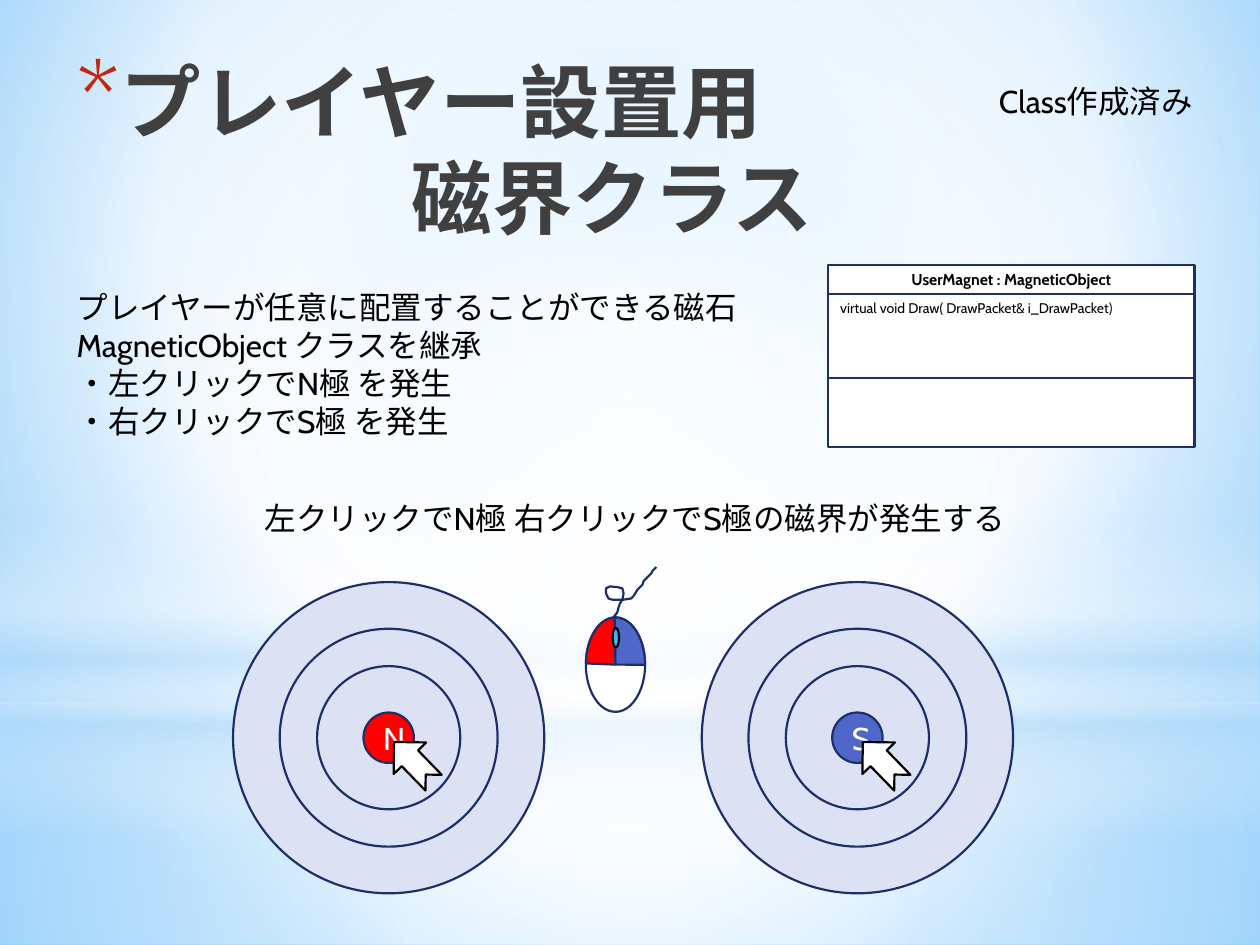
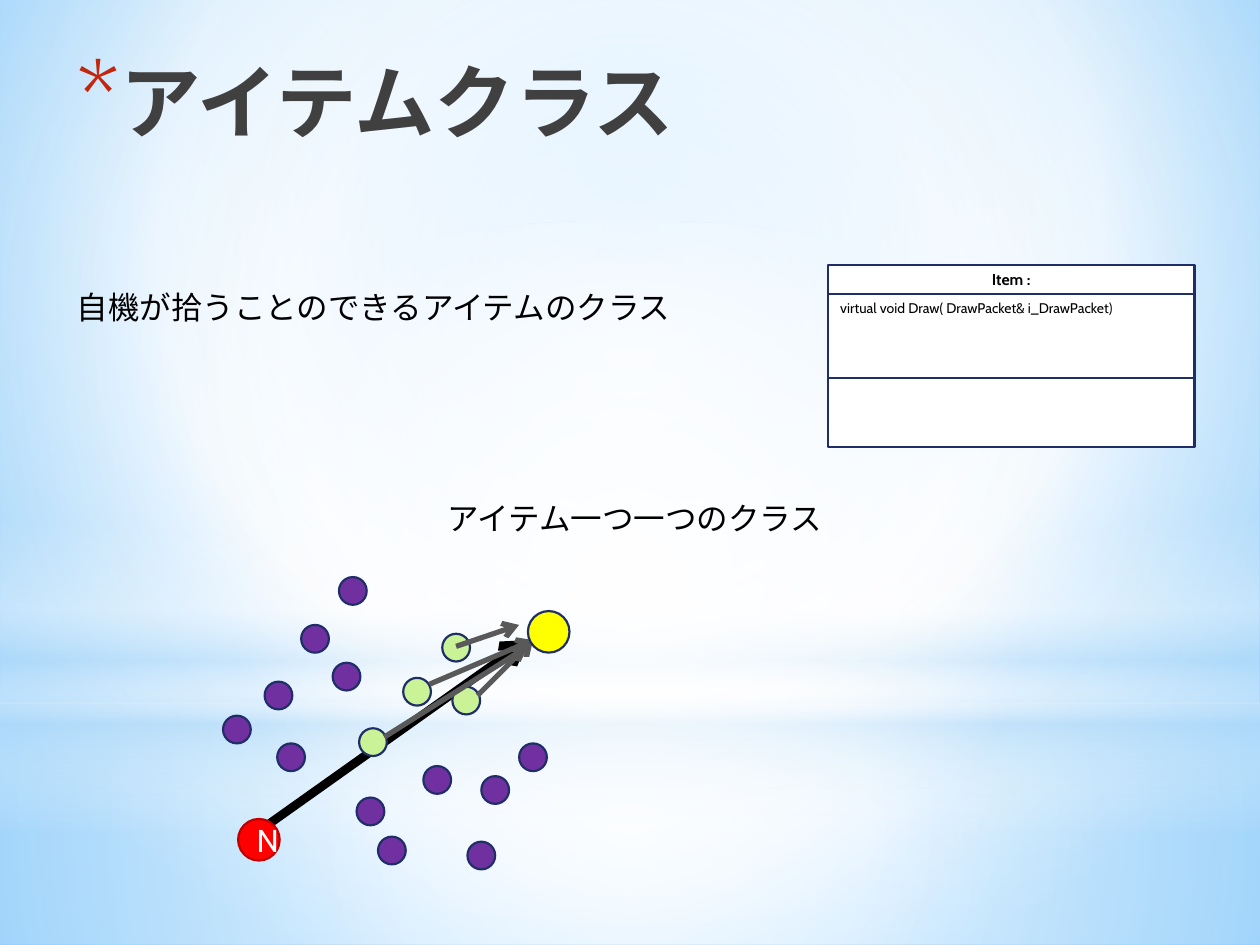
from dataclasses import dataclass

from lxml import etree
from pptx import Presentation
from pptx.dml.color import RGBColor
from pptx.enum.shapes import MSO_CONNECTOR, MSO_SHAPE
from pptx.enum.text import MSO_ANCHOR, MSO_AUTO_SIZE, PP_ALIGN
from pptx.oxml import parse_xml
from pptx.oxml.ns import nsdecls, qn
from pptx.util import Inches, Pt

RECT, OVAL, PIE = MSO_SHAPE.RECTANGLE, MSO_SHAPE.OVAL, MSO_SHAPE.PIE
CURSOR = MSO_SHAPE.NOTCHED_RIGHT_ARROW
STRAIGHT = MSO_CONNECTOR.STRAIGHT
LEFT, CENTER = PP_ALIGN.LEFT, PP_ALIGN.CENTER
TOP, MIDDLE = MSO_ANCHOR.TOP, MSO_ANCHOR.MIDDLE

FONT = "Cabin"
COLORS = {
    "title": "404040", "star": "C3260C", "text": "000000", "white": "FFFFFF",
    "outline": "1F2E69", "field": "DCE1F4", "north": "FF0000",
    "south": "4E67C8", "wheel": "4FADF3", "north edge": "C00000",
    "item": "7030A0", "pulled item": "CAF297", "player": "FFFF00",
    "pull": "595959", "sky": "B4DCFA", "sky light": "9ED5FF",
    "sky deep": "5BB9FF",
}

# The slide is a grid of 100 columns by 75 rows of square cells
SLIDE_W, SLIDE_H = Inches(10), Inches(7.5)
CELL = SLIDE_W / 100


def cells(count):
    return round(count * CELL)


@dataclass
class Box:
    x: float
    y: float
    w: float
    h: float

    def inner(self, x, y, w, h):
        """Box whose place and size are shares of this one."""
        return Box(self.x + x * self.w, self.y + y * self.h, w * self.w, h * self.h)

    def centered(self, w, h, dx=0, dy=0):
        """Box of w by h cells, shifted from the middle of this one."""
        return Box(self.x + (self.w - w) / 2 + dx, self.y + (self.h - h) / 2 + dy, w, h)

    def emu(self):
        return [cells(v) for v in (self.x, self.y, self.w, self.h)]


TITLE = Box(5.1, 3.6, 71.2, 12.5)
DESCRIPTION = Box(5.1, 22.4, 57.5, 13.1)
CLASS_BOX = Box(65.7, 21, 29.1, 14.5)
CAPTION = Box(17.7, 39.1, 65.4, 4)
STATUS = Box(78.3, 6, 19.7, 4)
NORTH_FIELD = Box(18.5, 46.2, 24.7, 24.7)
SOUTH_FIELD = Box(55.7, 46.2, 24.7, 24.7)
MOUSE = Box(46.5, 49, 4.7, 7.5)
ITEM_FIELD = Box(17.7, 45.8, 27.5, 23.2)


def rgb(name):
    return RGBColor.from_string(COLORS[name])


def style(paragraph, size, color="text", align=LEFT, bold=False):
    paragraph.alignment = align
    font = paragraph.font
    font.name, font.size, font.bold = FONT, Pt(size), bold
    font.color.rgb = rgb(color)


def add_figure(shapes, kind, box, fill, outline="outline"):
    figure = shapes.add_shape(kind, *box.emu())
    figure.shadow.inherit = False
    figure.fill.solid()
    figure.fill.fore_color.rgb = rgb(fill)
    if outline:
        figure.line.color.rgb = rgb(outline)
        figure.line.width = Pt(1.25)
    else:
        figure.line.fill.background()
    return figure


def label(figure, text, size, color="text", align=CENTER, anchor=MIDDLE, bold=False):
    figure.text_frame.text = text
    figure.text_frame.vertical_anchor = anchor
    style(figure.text_frame.paragraphs[0], size, color, align, bold)


def add_text(slide, box, lines, align=LEFT):
    frame = slide.shapes.add_textbox(*box.emu()).text_frame
    frame.word_wrap = True
    frame.text = "\n".join(lines)
    for paragraph in frame.paragraphs:
        style(paragraph, 18, align=align)


def set_gradient(properties, stops, focus=None):
    """Swap a solid fill for a gradient; focus is left, top, right, bottom in %."""
    stop_xml = "".join(
        f'<a:gs pos="{pos * 1000}"><a:srgbClr val="{COLORS[color]}">'
        f'<a:alpha val="{opacity * 1000}"/></a:srgbClr></a:gs>'
        for pos, color, opacity in stops)
    if focus:
        left, top, right, bottom = (f"{v * 1000}" for v in focus)
        direction = (f'<a:path path="circle"><a:fillToRect l="{left}" t="{top}" '
                     f'r="{right}" b="{bottom}"/></a:path>')
    else:
        direction = '<a:lin ang="5400000" scaled="0"/>'
    gradient = parse_xml(f'<a:gradFill {nsdecls("a")} rotWithShape="1">'
                         f'<a:gsLst>{stop_xml}</a:gsLst>{direction}</a:gradFill>')
    properties.replace(properties.find(qn("a:solidFill")), gradient)


def paint_master(master, slide):
    """Sky background and its light bands, kept on the master."""
    sky = master.background.fill
    sky.solid()
    sky.fore_color.rgb = rgb("white")
    set_gradient(master.element.xpath(".//p:bgPr")[0],
                 [(0, "sky light", 100), (60, "white", 100), (100, "sky deep", 100)],
                 (20, 10, 20, 60))
    middle = (50, 50, 50, 50)
    bands = [
        (RECT, Box(0, 55.8, 100, 19.2), middle,
         [(0, "white", 91), (37, "white", 76), (100, "sky", 79)]),
        (RECT, Box(0, 0, 100, 55.8), middle,
         [(0, "white", 89), (48, "white", 62), (100, "sky", 79)]),
        (RECT, Box(0, 41.2, 100, 25), None,
         [(0, "white", 0), (29, "white", 30), (45, "sky", 40),
          (55, "white", 26), (65, "sky", 60), (100, "white", 0)]),
        (OVAL, Box(0, 17.5, 100, 55.8), middle,
         [(0, "white", 100), (56, "white", 0)]),
    ]
    for order, (kind, box, focus, stops) in enumerate(bands):
        band = add_figure(slide.shapes, kind, box, "white", None)
        set_gradient(band.element.spPr, stops, focus)
        master.shapes.element.insert(2 + order, band.element)


def set_title(slide, lines):
    title = slide.shapes.title
    title.left, title.top, title.width, title.height = TITLE.emu()
    frame = title.text_frame
    frame.word_wrap, frame.auto_size = True, MSO_AUTO_SIZE.NONE
    frame.vertical_anchor = TOP
    frame.text = "\n".join(lines)
    for number, paragraph in enumerate(frame.paragraphs):
        properties = paragraph._p.get_or_add_pPr()
        if number == 0:  # starred first line with a hanging indent
            properties.set("marL", str(cells(3.5)))
            properties.set("indent", str(cells(-3.5)))
            color = etree.SubElement(properties, qn("a:buClr"))
            etree.SubElement(color, qn("a:srgbClr"), val=COLORS["star"])
            etree.SubElement(properties, qn("a:buSzPct"), val="128000")
            etree.SubElement(properties, qn("a:buFont"), typeface=FONT)
            etree.SubElement(properties, qn("a:buChar"), char="*")
        else:
            properties.set("marL", str(cells(26.6)))
            properties.set("indent", "0")
            etree.SubElement(properties, qn("a:buNone"))
        style(paragraph, 46, "title", bold=True)


def add_class_box(slide, box, heading):
    shapes = slide.shapes.add_group_shape().shapes
    name_share, method_share = 0.16, 0.46
    name = add_figure(shapes, RECT, box.inner(0, 0, 1, name_share), "white")
    label(name, heading, 9, bold=True)
    methods = add_figure(shapes, RECT, box.inner(0, name_share, 1, method_share), "white")
    label(methods, "virtual void Draw( DrawPacket& i_DrawPacket)", 8,
          align=LEFT, anchor=TOP)
    used = name_share + method_share
    add_figure(shapes, RECT, box.inner(0, used, 1, 1 - used), "white")


def add_class_slide(prs, title, description, heading, caption):
    """Frame shared by every class slide."""
    slide = prs.slides.add_slide(prs.slide_layouts[5])
    set_title(slide, title)
    add_text(slide, DESCRIPTION, description)
    add_class_box(slide, CLASS_BOX, heading)
    add_text(slide, CAPTION, [caption], CENTER)
    return slide


def add_magnetic_field(slide, box, pole, color):
    shapes = slide.shapes.add_group_shape().shapes
    for share in (1, 0.7, 0.46):
        add_figure(shapes, OVAL, box.centered(box.w * share, box.h * share), "field")
    core = add_figure(shapes, OVAL, box.centered(4, 4), color)
    label(core, pole, 18, "white")
    cursor = add_figure(slide.shapes, CURSOR, box.centered(4.5, 3.6, 2, 1.95),
                        "white", "text")
    cursor.rotation = 225.9


def add_mouse(slide, box):
    add_figure(slide.shapes, OVAL, box, "white")
    for color, start, end in (("north", 182.33, 270), ("south", 269.08, 0.21)):
        button = add_figure(slide.shapes, PIE, box, color)
        # Angles are held in 60000ths of a degree, adjustments in 100000ths
        button.adjustments[0], button.adjustments[1] = start * 0.6, end * 0.6

    # Cord, in cells from the top left of the mouse
    cord = [(2.2, 0), (2.5, -0.4), (2.6, -0.8), (2.7, -1.1), (2.9, -1.4),
            (3, -1.9), (2.9, -2.3), (2.5, -2.4), (1.9, -2.45), (1.6, -2.3),
            (1.6, -1.9), (1.8, -1.5), (2.1, -1.4), (3, -1.4), (3.6, -1.5),
            (3.8, -1.7), (4.1, -2.2), (4.3, -2.4), (4.5, -2.6), (4.6, -2.9),
            (4.9, -3.2), (5.2, -3.5), (5.3, -3.7), (5.6, -4)]
    points = [(cells(box.x + x), cells(box.y + y)) for x, y in cord]
    builder = slide.shapes.build_freeform(*points[0])
    builder.add_line_segments(points[1:], close=False)
    wire = builder.convert_to_shape()
    wire.shadow.inherit = False
    wire.fill.background()
    wire.line.color.rgb = rgb("outline")
    wire.line.width = Pt(1.25)
    add_figure(slide.shapes, OVAL, box.inner(0.45, 0.11, 0.11, 0.21), "wheel", "text")


def add_arrow(shapes, box, start, end, color, width):
    ends = [cells(v) for x, y in (start, end) for v in (box.x + x, box.y + y)]
    arrow = shapes.add_connector(STRAIGHT, *ends)
    arrow.line.color.rgb = rgb(color)
    arrow.line.width = Pt(width)
    properties = arrow.element.spPr
    etree.SubElement(properties.find(qn("a:ln")), qn("a:tailEnd"), type="arrow")
    etree.SubElement(properties, qn("a:effectLst"))


def add_item_field(slide, box):
    """Items around a pole; the nearest ones are pulled to the player."""
    shapes = slide.shapes.add_group_shape().shapes

    def add_dot(x, y, size, fill, outline="outline"):
        return add_figure(shapes, OVAL, Box(box.x + x, box.y + y, size, size),
                          fill, outline)

    add_arrow(shapes, box, (3.5, 19.7), (24.2, 5), "text", 5)
    places = {
        "item": [(8.7, 6.8), (3.3, 8.3), (4.3, 13.2), (23.5, 13.2), (10.6, 17.5),
                 (12.3, 20.6), (19.4, 21), (20.5, 15.8), (9.2, 0), (6.2, 3.8),
                 (0, 11), (15.9, 15)],
        "pulled item": [(18.2, 8.7), (17.4, 4.5), (14.3, 8), (10.8, 12)],
    }
    for kind, corners in places.items():
        for x, y in corners:
            add_dot(x, y, 2.2, kind)
    pulls = [((18.5, 5.5), (23.5, 3.8)), ((16.4, 8.5), (24.6, 5)),
             ((20.2, 9.4), (24.6, 5)), ((12.8, 12.7), (24.2, 5.5))]
    for start, end in pulls:
        add_arrow(shapes, box, start, end, "pull", 3)
    label(add_dot(1.2, 19.2, 3.3, "north", "north edge"), "N", 18, "white")
    add_dot(24.2, 2.7, 3.3, "player")


def main():
    prs = Presentation()
    prs.slide_width, prs.slide_height = SLIDE_W, SLIDE_H

    magnet = add_class_slide(
        prs, ["プレイヤー設置用", "磁界クラス"],
        ["プレイヤーが任意に配置することができる磁石", "MagneticObject クラスを継承",
         "・左クリックでN極 を発生", "・右クリックでS極 を発生"],
        "UserMagnet : MagneticObject",
        "左クリックでN極 右クリックでS極の磁界が発生する")
    paint_master(prs.slide_master, magnet)
    add_magnetic_field(magnet, SOUTH_FIELD, "S", "south")
    add_magnetic_field(magnet, NORTH_FIELD, "N", "north")
    add_mouse(magnet, MOUSE)
    add_text(magnet, STATUS, ["Class作成済み"])

    item = add_class_slide(
        prs, ["アイテムクラス"], ["自機が拾うことのできるアイテムのクラス"],
        "Item :", "アイテム一つ一つのクラス")
    add_item_field(item, ITEM_FIELD)

    prs.save("out.pptx")


if __name__ == "__main__":
    main()
